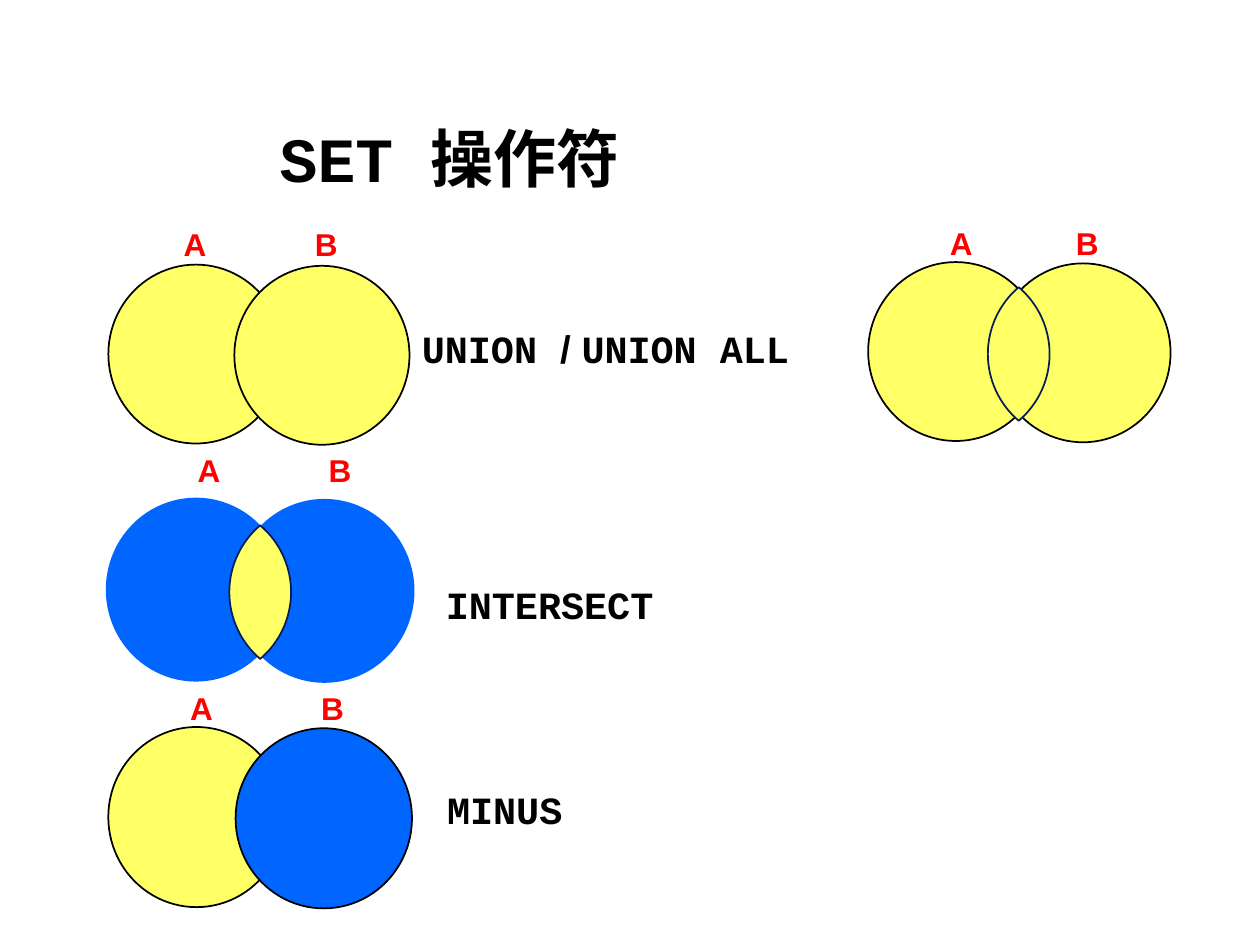
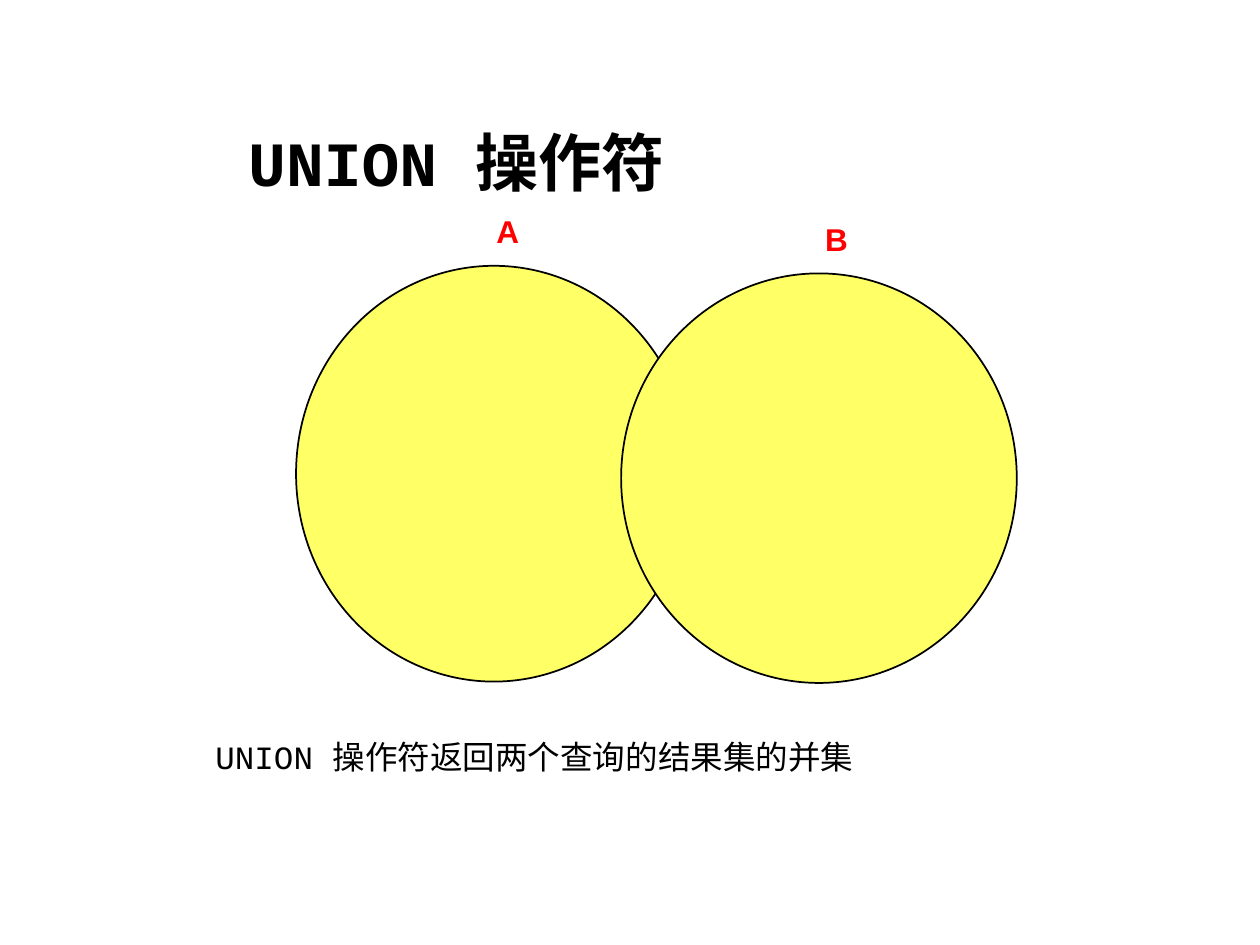
import math
from lxml import etree
from pptx import Presentation
from pptx import util as u
from pptx.dml.color import RGBColor
from pptx.enum import shapes, text
from pptx.oxml.ns import qn

MONO, SANS = "Courier New", "Arial"
INK, RED, YELLOW, BLUE, NAVY = "000000", "FF0000", "FFFF66", "0066FF", "081D58"


def color(code):
    return RGBColor.from_string(code)


def write(frame, *runs, size=18, ink=INK, bold=True, wrap=True, grow=False, lead=None):
    frame.word_wrap = wrap
    frame.auto_size = (text.MSO_AUTO_SIZE.SHAPE_TO_FIT_TEXT if grow
                       else text.MSO_AUTO_SIZE.NONE)
    frame.vertical_anchor = text.MSO_ANCHOR.TOP
    frame.margin_left = frame.margin_right = u.Inches(0.1)
    frame.margin_top = frame.margin_bottom = u.Inches(0.05)
    para = frame.paragraphs[0]
    para.alignment = text.PP_ALIGN.LEFT
    if lead:
        para.line_spacing = lead
        para.space_before = u.Pt(0)
    for words, face in runs:
        run = para.add_run()
        run.text = words
        font = run.font
        font.name, font.size, font.bold = face, u.Pt(size), bold
        font.color.rgb = color(ink)
    return para


class Deck:
    def __init__(self):
        self.file = Presentation()
        self.file.slide_width = u.Inches(10)
        self.file.slide_height = u.Inches(7.5)

    def start(self, layout):
        self.slide = self.file.slides.add_slide(self.file.slide_layouts[layout])
        self.host = self.slide.shapes

    def group(self):
        self.host = self.slide.shapes.add_group_shape().shapes

    def leave(self):
        self.host = self.slide.shapes

    def place(self, item, box):
        item.left, item.top, item.width, item.height = map(u.Inches, box)

    def title(self, box, *runs):
        item = self.slide.shapes.title
        self.place(item, box)
        write(item.text_frame, *runs, size=36, lead=0.9)

    def body(self, box, *runs):
        item = self.slide.placeholders[1]
        self.place(item, box)
        para = write(item.text_frame, *runs, size=18.6, bold=False, lead=0.7)
        props = para._p.get_or_add_pPr()
        props.set("marL", str(u.Inches(0.19)))
        props.set("indent", str(u.Inches(-0.19)))
        etree.SubElement(props, qn("a:buNone"))

    def label(self, box, *runs, **style):
        item = self.host.add_textbox(*map(u.Inches, box))
        write(item.text_frame, *runs, grow=True, **style)

    def mark(self, name, x, y):
        self.label((x, y, 0.38, 0.4), (name, SANS), ink=RED, wrap=False)

    def marks(self, x, y, step=1.04):
        self.mark("A", x, y)
        self.mark("B", x + step, y)

    def paint(self, item, fill, line):
        item.shadow.inherit = False
        item.fill.solid()
        item.fill.fore_color.rgb = color(fill)
        if line:
            item.line.color.rgb = color(line)
            item.line.width = u.Pt(1)
        else:
            item.line.fill.background()

    def oval(self, box, fill=YELLOW, line=INK):
        item = self.host.add_shape(shapes.MSO_SHAPE.OVAL, *map(u.Inches, box))
        self.paint(item, fill, line)

    def pair(self, x, y, wide, high, step=1.01, fills=(YELLOW, YELLOW), line=INK):
        for i, fill in enumerate(fills):
            self.oval((x + i * step, y + i * 0.01, wide, high), fill, line)

    def lens(self, left, top, wide=0.49, high=1.06, steps=32):
        radius = (wide ** 2 + high ** 2) / (4 * wide)
        half = math.asin(high / 2 / radius)
        points = []
        for side in (1, -1):
            for i in range(steps):
                turn = side * half * (2 * i / steps - 1)
                reach = side * radius * (math.cos(turn) - math.cos(half))
                points.append((u.Inches(left + wide / 2 + reach),
                               u.Inches(top + high / 2 + radius * math.sin(turn))))
        path = self.host.build_freeform(*points[0])
        path.add_line_segments(points[1:], close=True)
        self.paint(path.convert_to_shape(), YELLOW, NAVY)


deck = Deck()

deck.start(5)
deck.title((1.82, 0.97, 6.08, 0.97), (" SET ", MONO), ("操作符", SANS))
deck.marks(1.36, 1.74)
deck.label((3.25, 2.53, 3.7, 0.47), ("UNION ", MONO), ("/ ", SANS),
           ("UNION ALL", MONO), size=22)
deck.pair(0.86, 2.1, 1.39, 1.42, step=1)
deck.pair(6.89, 2.08, 1.39, 1.42)
deck.lens(7.84, 2.28)
deck.marks(7.44, 1.73, step=1)

deck.group()
deck.marks(1.47, 3.53)
deck.label((3.44, 4.56, 1.85, 0.47), ("INTERSECT", MONO), size=22, wrap=False)
deck.pair(0.84, 3.95, 1.43, 1.46, step=1.02, fills=(BLUE, BLUE), line=None)
deck.lens(1.82, 4.17)
deck.leave()

deck.marks(1.41, 5.42)
deck.label((3.45, 6.19, 1.12, 0.47), ("MINUS", MONO), size=22, wrap=False)
deck.pair(0.86, 5.77, 1.4, 1.43, fills=(YELLOW, BLUE))

deck.start(1)
deck.title((1.87, 1, 6.59, 0.95), ("UNION ", MONO), ("操作符", SANS))
deck.body((1.61, 5.88, 7.11, 0.48), ("UNION ", MONO),
          ("操作符返回两个查询的结果集的并集", SANS))
deck.oval((2.35, 2.11, 3.14, 3.3))
deck.mark("A", 3.84, 1.63)
deck.oval((4.93, 2.17, 3.14, 3.25))
deck.mark("B", 6.45, 1.7)

deck.file.save("out.pptx")
